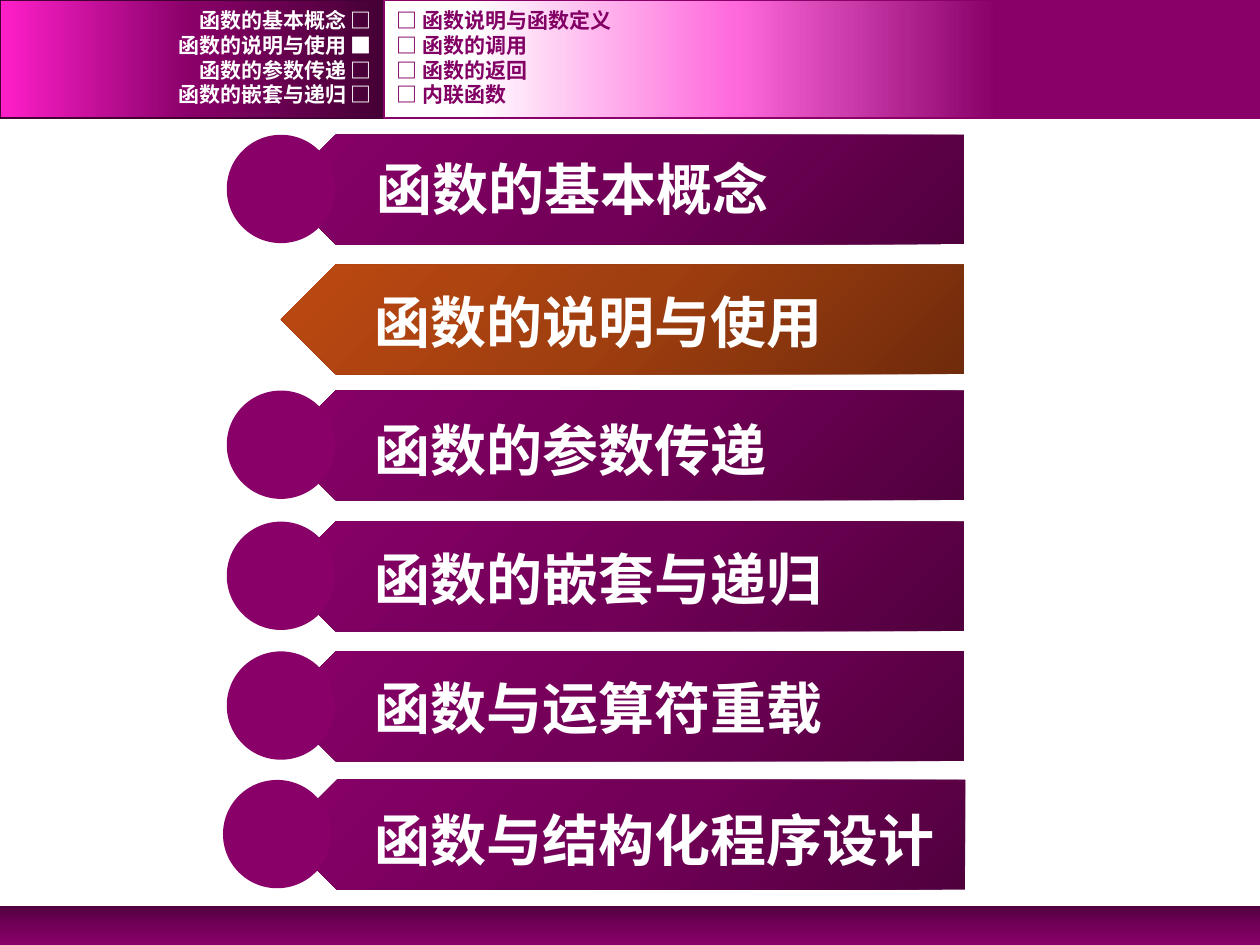
"""Builds the chapter overview slide on functions."""
from pptx import Presentation
from pptx.dml.color import RGBColor
from pptx.enum.shapes import MSO_SHAPE
from pptx.enum.text import MSO_ANCHOR, PP_ALIGN
from pptx.oxml import parse_xml
from pptx.oxml.ns import nsdecls, qn
from pptx.util import Inches, Pt

RECTANGLE, ARROW, CIRCLE = MSO_SHAPE.RECTANGLE, MSO_SHAPE.PENTAGON, MSO_SHAPE.OVAL
TOP, MIDDLE = MSO_ANCHOR.TOP, MSO_ANCHOR.MIDDLE
LEFT, RIGHT = PP_ALIGN.LEFT, PP_ALIGN.RIGHT

WHITE = RGBColor(0xFF, 0xFF, 0xFF)
PLUM = RGBColor(0x88, 0x00, 0x68)
PLUM_TEXT = RGBColor(0x82, 0x00, 0x64)
PLUM_MID = RGBColor(0x73, 0x00, 0x58)
PLUM_DARK = RGBColor(0x51, 0x00, 0x3E)
PLUM_BLACK = RGBColor(0x44, 0x00, 0x34)
MAGENTA = RGBColor(0xFF, 0x1F, 0xCA)
PINK = RGBColor(0xFF, 0x69, 0xDC)
RUST = RGBColor(0xBD, 0x49, 0x12)
RUST_MID = RGBColor(0x9F, 0x3E, 0x0F)
RUST_DARK = RGBColor(0x70, 0x2B, 0x0B)

PLUM_STOPS = ((0, PLUM_DARK), (50, PLUM_MID), (100, PLUM))
RUST_STOPS = ((0, RUST_DARK), (50, RUST_MID), (100, RUST))
SECTION_STOPS = ((0, PLUM_BLACK), (50, PLUM), (100, MAGENTA))
TOPIC_STOPS = ((30, PLUM), (60, PINK), (90, WHITE))

COLUMNS, ROWS = 100, 75
HEADER_HEIGHT, HEADER_SPLIT = 9.4, 30.5
MENU_TOP, MENU_PITCH = 0.6, 1.97
BAR_HEIGHT, BAR_WIDTH, CIRCLE_SIZE = 8.7, 54.2, 8.6

SECTIONS = ("函数的基本概念 □", "函数的说明与使用 ■", "函数的参数传递 □", "函数的嵌套与递归 □")
TOPICS = ("□ 函数说明与函数定义", "□ 函数的调用", "□ 函数的返回", "□ 内联函数")
CHAPTERS = (
    ("函数的基本概念", 10.7, 22.3, 18, 28.9, 11.8),
    ("函数的说明与使用", 21, 22.3, None, 28.7, 22.3),
    ("函数的参数传递", 31, 22.3, 18, 28.7, 32.5),
    ("函数的嵌套与递归", 41.4, 22.3, 18, 28.7, 42.7),
    ("函数与运算符重载", 51.7, 22.3, 18, 28.7, 53),
    ("函数与结构化程序设计", 61.9, 22.4, 17.7, 28.7, 63.4),
)


class SlideBuilder:
    """Holds the deck's style and draws on the current slide by grid columns and rows."""

    font_name = "Courier New"

    def __init__(self):
        self.deck = Presentation()
        self.deck.slide_width, self.deck.slide_height = Inches(10), Inches(7.5)
        self.page = self.deck.slides.add_slide(self.deck.slide_layouts[6])

    def place(self, column, row, width, height):
        """Turn grid units into slide lengths."""
        across = self.deck.slide_width / COLUMNS
        down = self.deck.slide_height / ROWS
        return round(column * across), round(row * down), round(width * across), round(height * down)

    def shape(self, kind, area, color=None, border=None):
        """Add a preset shape with an optional solid fill and border."""
        shape = self.page.shapes.add_shape(kind, *self.place(*area))
        shape.shadow.inherit = False
        if color is not None:
            shape.fill.solid()
            shape.fill.fore_color.rgb = color
        if border is None:
            shape.line.fill.background()
        else:
            shape.line.color.rgb = border
            shape.line.width = Pt(1)
        return shape

    def gradient(self, kind, area, stops, angle, border=None, flip=False):
        """Add a preset shape with a clockwise-angled gradient."""
        shape = self.shape(kind, area, border=border)
        shape.fill.gradient()
        shape.fill.gradient_angle = (360 - angle) % 360
        properties = shape.element.spPr
        stop_list = properties.find(".//" + qn("a:gsLst"))
        for stop in list(stop_list):
            stop_list.remove(stop)
        for position, color in stops:
            stop_list.append(parse_xml(
                f'<a:gs {nsdecls("a")} pos="{position * 1000}"><a:srgbClr val="{color}"/></a:gs>'))
        if flip:
            properties.find(qn("a:xfrm")).set("flipH", "1")
        return shape

    def text(self, words, area, size, color, align=LEFT, anchor=TOP):
        """Add one bold line of text."""
        box = self.page.shapes.add_textbox(*self.place(*area))
        frame = box.text_frame
        frame.word_wrap = True
        frame.vertical_anchor = anchor
        frame.text = words
        para = frame.paragraphs[0]
        para.alignment = align
        font = para.runs[0].font
        font.name, font.size, font.bold = self.font_name, Pt(size), True
        font.color.rgb = color

    def menu(self, entries, column, width, color, align):
        """Add a header menu with evenly spaced entries."""
        for index, entry in enumerate(entries):
            area = (column, MENU_TOP + index * MENU_PITCH, width, 2)
            self.text(entry, area, 12, color, align, MIDDLE)

    def chapter(self, words, bar_top, bar_left, circle_left, text_left, text_top):
        """Add a chapter arrow, highlighted when it has no circle."""
        stops = RUST_STOPS if circle_left is None else PLUM_STOPS
        self.gradient(ARROW, (bar_left, bar_top, BAR_WIDTH, BAR_HEIGHT), stops, 315, flip=True)
        if circle_left is not None:
            self.shape(CIRCLE, (circle_left, bar_top, CIRCLE_SIZE, CIRCLE_SIZE), PLUM)
        self.text(words, (text_left, text_top, 47.2, 6.4), 32, WHITE)


def main():
    """Build and save the slide."""
    slide = SlideBuilder()
    slide.gradient(RECTANGLE, (0, 71.9, COLUMNS, 3.1), PLUM_STOPS, 90)
    slide.gradient(RECTANGLE, (0, 0, HEADER_SPLIT, HEADER_HEIGHT), SECTION_STOPS, 180, PLUM_BLACK)
    slide.gradient(RECTANGLE, (HEADER_SPLIT, 0, COLUMNS - HEADER_SPLIT, HEADER_HEIGHT),
                   TOPIC_STOPS, 180, PLUM)
    slide.menu(SECTIONS, 0, HEADER_SPLIT, WHITE, RIGHT)
    slide.menu(TOPICS, HEADER_SPLIT, 60.2, PLUM_TEXT, LEFT)
    for chapter in CHAPTERS:
        slide.chapter(*chapter)
    slide.deck.save("out.pptx")


if __name__ == "__main__":
    main()
